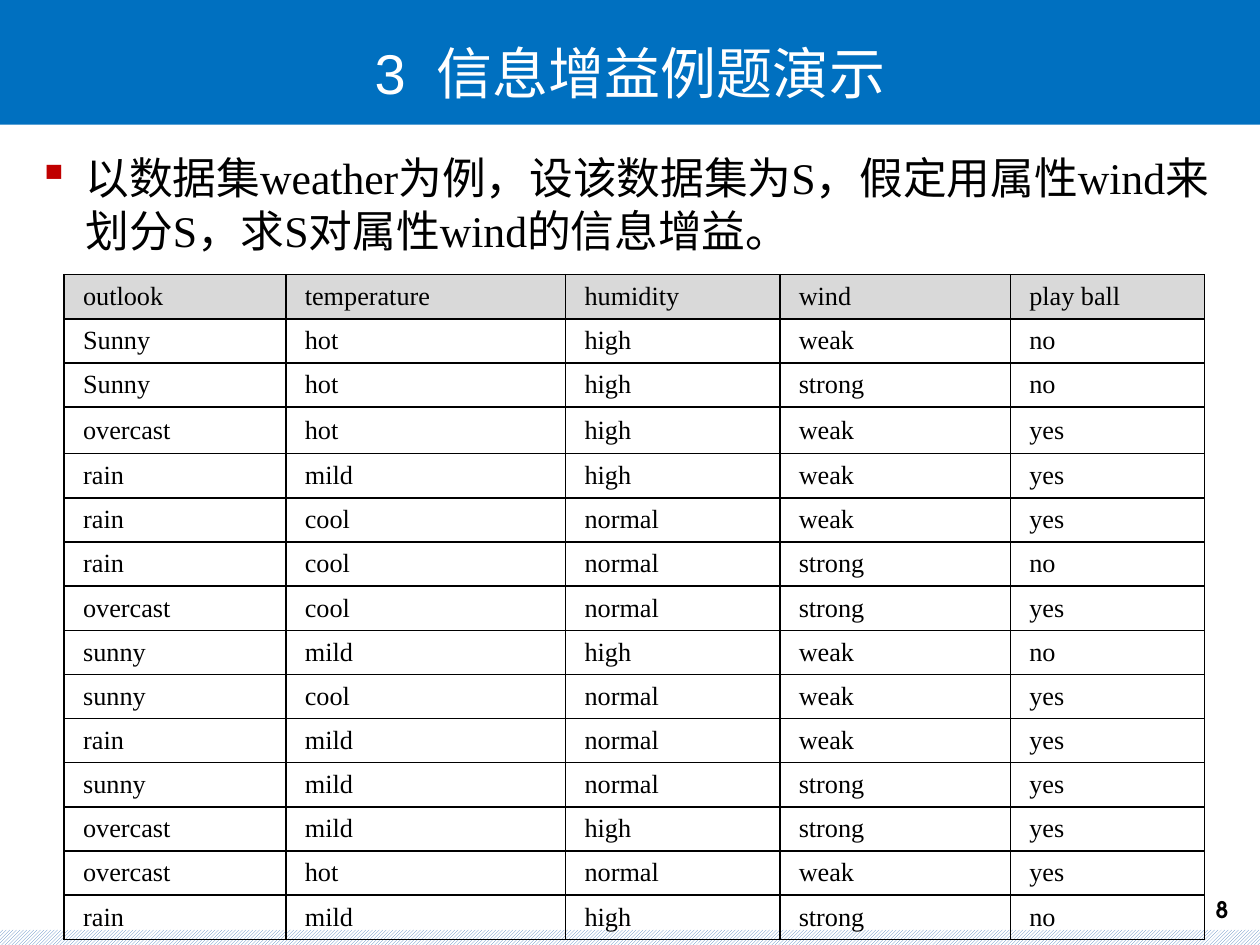
from pptx import Presentation
from pptx.dml.color import RGBColor
from pptx.enum.dml import MSO_PATTERN
from pptx.enum.shapes import MSO_SHAPE
from pptx.enum.text import MSO_ANCHOR as Anchor, PP_ALIGN as Align
from pptx.oxml.ns import qn
from pptx.util import Inches, Pt
from lxml.etree import SubElement

COLORS = {
    "banner": "0070C0", "white": "FFFFFF", "black": "000000",
    "header": "D9D9D9", "bullet": "C00000", "hatch": "4F81BD",
}
SERIF = "Times New Roman"
COLUMN_WIDTHS = [1.76, 2.22, 1.7, 1.83, 1.54]
ROW_HEIGHT, TALL_ROW, TALL_HEIGHT = 0.35, 3, 0.37
WEATHER = """outlook,temperature,humidity,wind,play ball
Sunny,hot,high,weak,no
Sunny,hot,high,strong,no
overcast,hot,high,weak,yes
rain,mild,high,weak,yes
rain,cool,normal,weak,yes
rain,cool,normal,strong,no
overcast,cool,normal,strong,yes
sunny,mild,high,weak,no
sunny,cool,normal,weak,yes
rain,mild,normal,weak,yes
sunny,mild,normal,strong,yes
overcast,mild,high,strong,yes
overcast,hot,normal,weak,yes
rain,mild,high,strong,no"""


def color(name):
    return RGBColor.from_string(COLORS[name])


def write(frame, text, size, font=SERIF, fill="black", bold=False, align=Align.LEFT,
          before=0, line=None, hanging=0, bullet=None):
    para = frame.paragraphs[0]
    para.alignment = align
    para.space_before = Pt(before)
    if line:
        para.line_spacing = Pt(line)
    properties = para._p.get_or_add_pPr()
    if hanging:
        properties.set("marL", str(Inches(hanging)))
        properties.set("indent", str(-Inches(hanging)))
    if bullet:
        tint = SubElement(properties, qn("a:buClr"))
        SubElement(tint, qn("a:srgbClr"), val=COLORS["bullet"])
        SubElement(properties, qn("a:buChar"), char=bullet)
    span = para.add_run()
    span.text = text
    span.font.name, span.font.size, span.font.bold = font, Pt(size), bold
    span.font.color.rgb = color(fill)


def add_text(page, box, text, size, anchor=Anchor.TOP, **style):
    frame = page.shapes.add_textbox(*map(Inches, box)).text_frame
    frame.word_wrap = True
    frame.vertical_anchor = anchor
    write(frame, text, size, **style)


def add_block(page, box):
    block = page.shapes.add_shape(MSO_SHAPE.RECTANGLE, *map(Inches, box))
    block.shadow.inherit = False
    block.line.fill.background()
    return block


def add_footer(page, box):
    left, top, width, height = box
    fill = add_block(page, box).fill
    fill.patterned()
    fill.pattern = MSO_PATTERN.LIGHT_UPWARD_DIAGONAL
    fill.fore_color.rgb = color("hatch")
    fill.back_color.rgb = color("white")
    # Page number above the right end of the strip
    add_text(page, (left + width - 0.45, top - 0.32, 0.4, 0.32), "8", 13,
             font="TeX Gyre Adventor", bold=True)


def add_banner(page, box):
    left, top, width, height = box
    fill = add_block(page, box).fill
    fill.solid()
    fill.fore_color.rgb = color("banner")
    add_text(page, (left + 0.5, top + 0.24, width - 1, 0.73), "3  信息增益例题演示", 32,
             anchor=Anchor.MIDDLE, font="Arial", fill="white", align=Align.CENTER,
             before=12, line=50)


def add_borders(cell):
    properties = cell._tc.get_or_add_tcPr()
    for side in ("L", "R", "T", "B"):
        edge = SubElement(properties, qn(f"a:ln{side}"), w=str(Pt(1)))
        solid = SubElement(edge, qn("a:solidFill"))
        SubElement(solid, qn("a:srgbClr"), val=COLORS["black"])


def add_weather_table(page, box):
    records = [row.split(",") for row in WEATHER.splitlines()]
    table = page.shapes.add_table(len(records), len(COLUMN_WIDTHS),
                                  *map(Inches, box)).table
    table.first_row = table.horz_banding = False
    for column, width in zip(table.columns, COLUMN_WIDTHS):
        column.width = Inches(width)
    for index, record in enumerate(records):
        table.rows[index].height = Inches(TALL_HEIGHT if index == TALL_ROW else ROW_HEIGHT)
        for cell, value in zip(table.rows[index].cells, record):
            cell.margin_left = cell.margin_right = Inches(0.15)
            cell.margin_top = cell.margin_bottom = Inches(0.05)
            cell.vertical_anchor = Anchor.MIDDLE
            write(cell.text_frame, value, 15, hanging=0.32)
            add_borders(cell)
            if index == 0:
                cell.fill.solid()
                cell.fill.fore_color.rgb = color("header")
            else:
                cell.fill.background()


def add_question(page, box):
    add_text(page, box,
             "以数据集weather为例，设该数据集为S，假定用属性wind来划分S，求S对属性wind的信息增益。",
             25, before=5, hanging=0.38, bullet="▪")


def main():
    deck = Presentation()
    deck.slide_width, deck.slide_height = Inches(10), Inches(7.5)
    page = deck.slides.add_slide(deck.slide_layouts[6])
    add_footer(page, (0, 7.38, 10, 0.12))
    add_banner(page, (0, -0.11, 10, 1.1))
    add_weather_table(page, (0.51, 2.18, 9.06, 5.27))
    add_question(page, (0.2, 1.15, 9.8, 0.95))
    deck.save("out.pptx")


if __name__ == "__main__":
    main()
